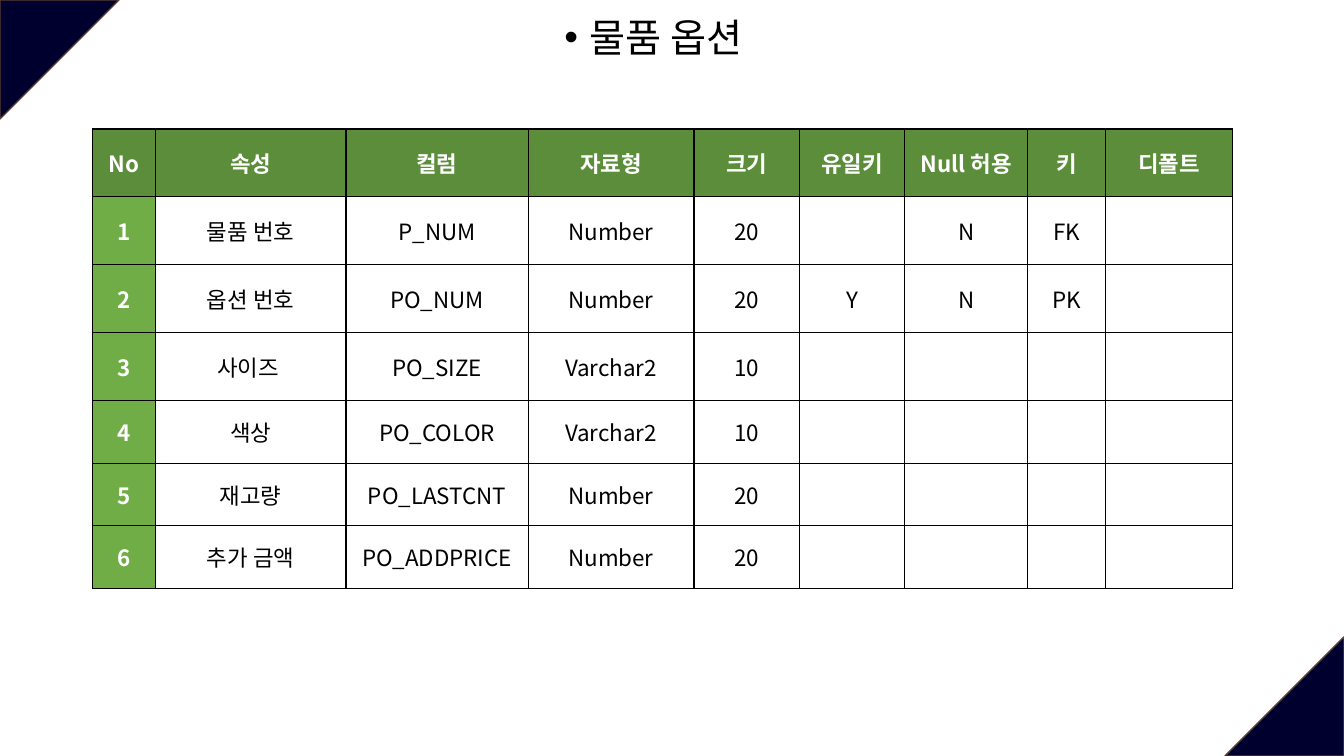
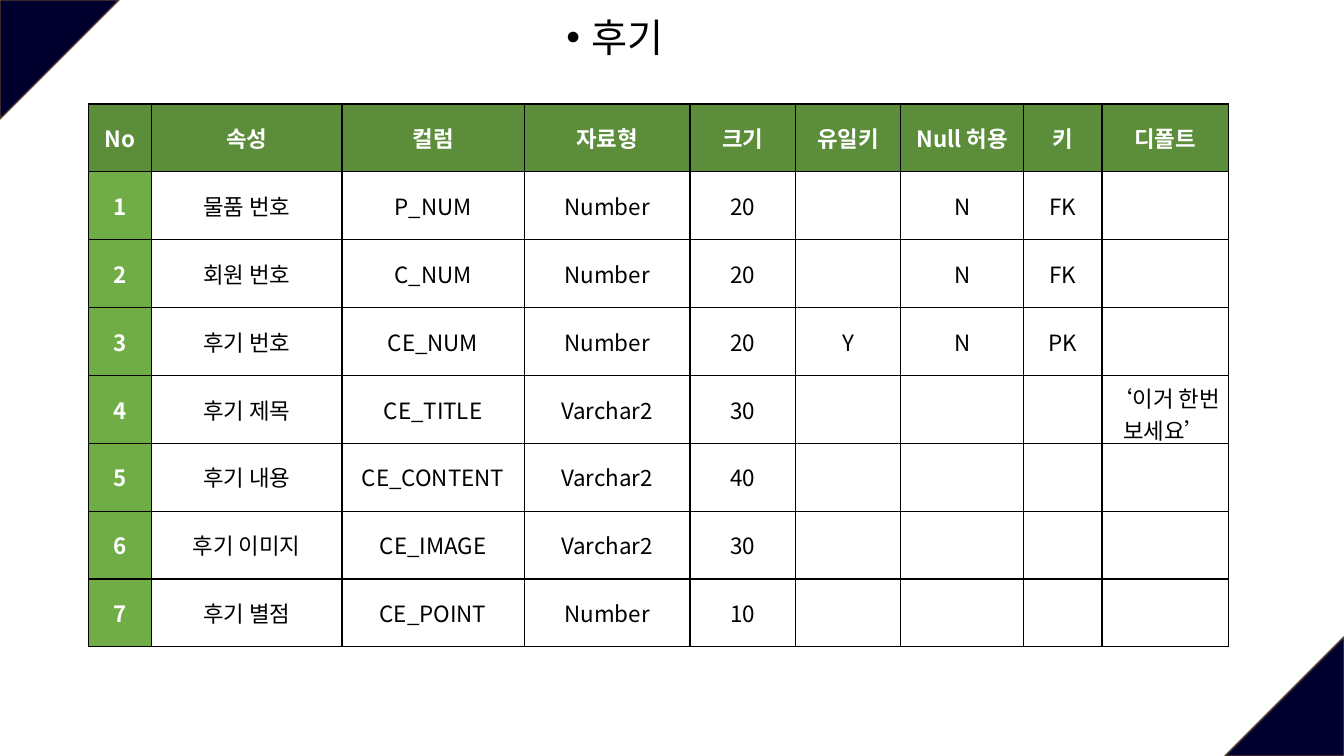
from dataclasses import dataclass

from lxml import etree
from pptx import Presentation
from pptx import util as u
from pptx.dml.color import RGBColor
from pptx.enum import shapes, text
from pptx.oxml.ns import qn

Cm = u.Cm


@dataclass(frozen=True)
class Theme:
    font: str = "Noto Sans CJK KR"
    title_size: int = 28
    cell_size: int = 16
    rule_width: int = 1
    corner: str = "00002F"
    corner_line: str = "5B3F33"
    header: str = "5C8D3A"
    number: str = "70AD47"
    dark: str = "000000"
    light: str = "FFFFFF"


WIDTH, HEIGHT = 33.87, 19.05
CORNER = 3
TITLE_W, TITLE_H = 21.56, 1.85
ROW, LOW_ROW = 1.71, 1.58
COLS = [1.57, 4.81, 4.59, 4.18, 2.65, 2.66, 3.1, 1.97, 3.19]
HEADINGS = ["No", "속성", "컬럼", "자료형", "크기", "유일키", "Null 허용", "키", "디폴트"]

OPTIONS = [
    ["물품 번호", "P_NUM", "Number", "20", "", "N", "FK", ""],
    ["옵션 번호", "PO_NUM", "Number", "20", "Y", "N", "PK", ""],
    ["사이즈 ", "PO_SIZE", "Varchar2", "10", "", "", "", ""],
    ["색상", "PO_COLOR", "Varchar2", "10", "", "", "", ""],
    ["재고량", "PO_LASTCNT", "Number", "20", "", "", "", ""],
    ["추가 금액", "PO_ADDPRICE", "Number", "20", "", "", "", ""],
]
REVIEWS = [
    ["물품 번호", "P_NUM", "Number", "20", "", "N", "FK", ""],
    ["회원 번호", "C_NUM", "Number", "20", "", "N", "FK", ""],
    ["후기 번호", "CE_NUM", "Number", "20", "Y", "N", "PK", ""],
    ["후기 제목", "CE_TITLE", "Varchar2", "30", "", "", "", "‘이거 한번 보세요’"],
    ["후기 내용", "CE_CONTENT", "Varchar2", "40", "", "", "", ""],
    ["후기 이미지", "CE_IMAGE", "Varchar2", "30", "", "", "", ""],
    ["후기 별점", "CE_POINT", "Number", "10", "", "", "", ""],
]


class Deck:
    def __init__(self, theme):
        self.theme = theme
        self.prs = Presentation()
        self.prs.slide_width, self.prs.slide_height = Cm(WIDTH), Cm(HEIGHT)
        self.s = None

    def slide(self):
        self.s = self.prs.slides.add_slide(self.prs.slide_layouts[6])
        self.corner(0, 0, 90)
        self.corner(WIDTH - CORNER, HEIGHT - CORNER, 270)

    def corner(self, x, y, rotation):
        t = self.theme
        sp = self.s.shapes.add_shape(
            shapes.MSO_SHAPE.ISOSCELES_TRIANGLE, Cm(x), Cm(y), Cm(CORNER), Cm(CORNER))
        sp.adjustments[0] = 0
        sp.rotation = rotation
        sp.shadow.inherit = False
        sp.fill.solid()
        sp.fill.fore_color.rgb = RGBColor.from_string(t.corner)
        sp.line.color.rgb = RGBColor.from_string(t.corner_line)
        sp.line.width = u.Pt(t.rule_width)

    def run(self, p, words, size, color, bold=False):
        p.alignment = text.PP_ALIGN.CENTER
        r = p.add_run()
        r.text = words
        r.font.name = self.theme.font
        r.font.size = u.Pt(size)
        r.font.bold = bold
        r.font.color.rgb = RGBColor.from_string(color)
        ea = etree.SubElement(r.font._element, qn("a:ea"))
        ea.set("typeface", self.theme.font)

    def title(self, words, x):
        sp = self.s.shapes.add_textbox(Cm(x), 0, Cm(TITLE_W), Cm(TITLE_H))
        tf = sp.text_frame
        tf.word_wrap = True
        tf.vertical_anchor = text.MSO_ANCHOR.MIDDLE
        p = tf.paragraphs[0]
        self.run(p, words, self.theme.title_size, self.theme.dark)
        pPr = p._p.get_or_add_pPr()
        pPr.set("marL", str(Cm(0.64)))
        pPr.set("indent", str(Cm(-0.64)))
        etree.SubElement(pPr, qn("a:buFont")).set("typeface", "Arial")
        etree.SubElement(pPr, qn("a:buChar")).set("char", "•")

    def borders(self, cell):
        tcPr = cell._tc.get_or_add_tcPr()
        for i, side in enumerate(("lnL", "lnR", "lnT", "lnB")):
            ln = etree.Element(qn("a:" + side), w=str(u.Pt(self.theme.rule_width)))
            fill = etree.SubElement(ln, qn("a:solidFill"))
            etree.SubElement(fill, qn("a:srgbClr")).set("val", self.theme.dark)
            tcPr.insert(i, ln)

    def cell(self, cell, words, fill=None):
        t = self.theme
        cell.margin_left = cell.margin_right = Cm(0.16)
        cell.margin_top = cell.margin_bottom = Cm(0.16)
        cell.vertical_anchor = text.MSO_ANCHOR.MIDDLE
        if fill:
            cell.fill.solid()
            cell.fill.fore_color.rgb = RGBColor.from_string(fill)
        else:
            cell.fill.background()
        if words:
            self.run(cell.text_frame.paragraphs[0], words, t.cell_size,
                     t.light if fill else t.dark, bool(fill))
        self.borders(cell)

    def table(self, x, y, records, heights):
        t = self.theme
        rows = [HEADINGS] + [[str(n), *rec] for n, rec in enumerate(records, 1)]
        tbl = self.s.shapes.add_table(
            len(rows), len(COLS), Cm(x), Cm(y), Cm(sum(COLS)), Cm(sum(heights))).table
        tbl.first_row = tbl.horz_banding = False
        for col, width in zip(tbl.columns, COLS):
            col.width = Cm(width)
        for i, (row, height) in enumerate(zip(rows, heights)):
            tbl.rows[i].height = Cm(height)
            for j, words in enumerate(row):
                fill = t.header if i == 0 else t.number if j == 0 else None
                self.cell(tbl.cell(i, j), words, fill)


def main():
    deck = Deck(Theme())

    deck.slide()
    deck.title("물품 옵션", 5.69)
    deck.table(2.34, 3.25, OPTIONS, [ROW] * 4 + [LOW_ROW] * 3)

    deck.slide()
    deck.title("후기", 4.72)
    deck.table(2.24, 2.62, REVIEWS, [ROW] * 8)

    deck.prs.save("out.pptx")


if __name__ == "__main__":
    main()
